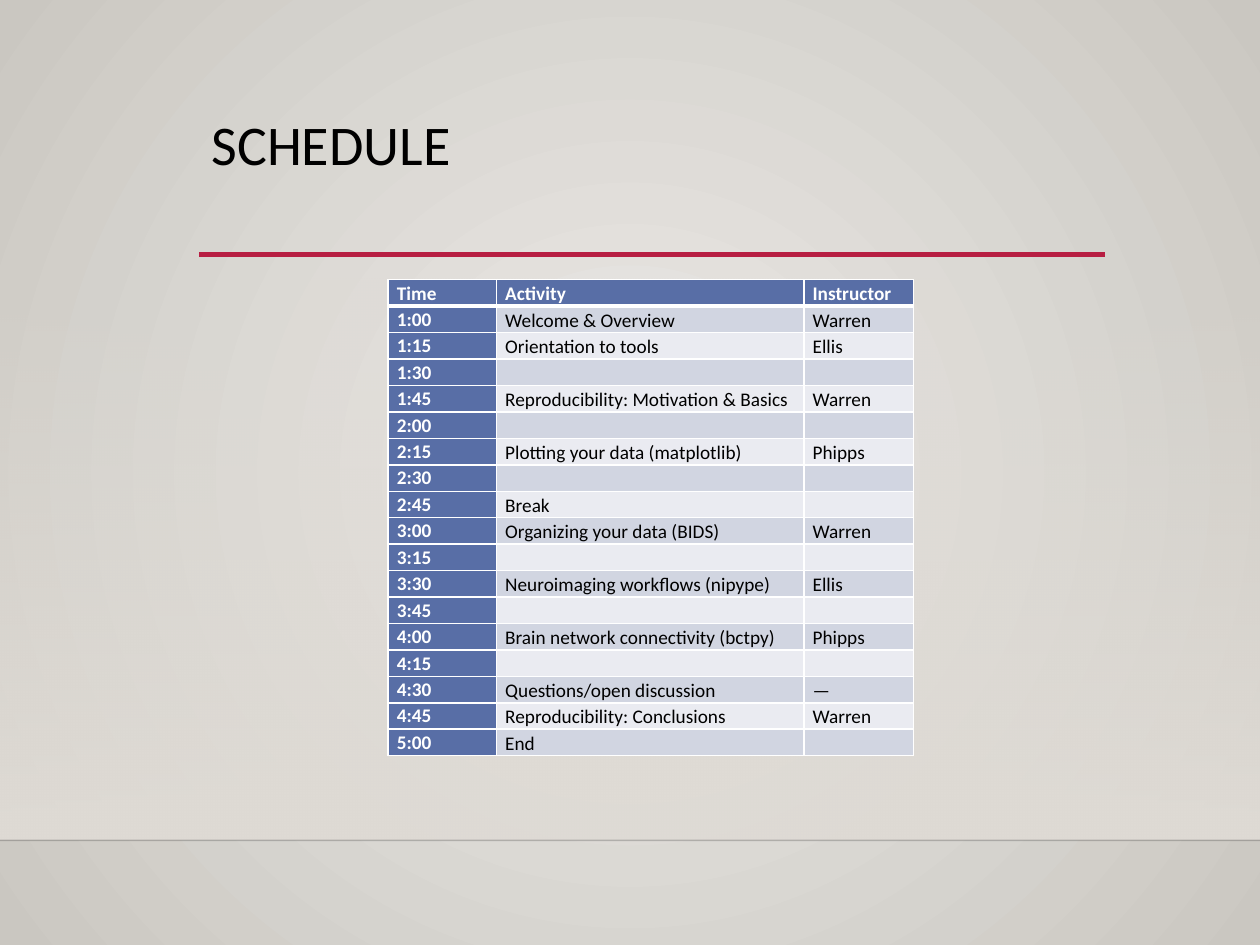
from lxml import etree
from pptx import Presentation
from pptx.dml.color import RGBColor
from pptx.enum import shapes, text
from pptx.oxml import ns
from pptx.util import Inches, Pt

FONT = "Calibri"
BLACK = RGBColor(0x00, 0x00, 0x00)
WHITE = RGBColor(0xFF, 0xFF, 0xFF)
RED = RGBColor(0xB7, 0x1E, 0x42)
BLUE = RGBColor(0x58, 0x6E, 0xA6)
BANDS = [RGBColor(0xD1, 0xD5, 0xE1), RGBColor(0xEA, 0xEB, 0xF1)]
CENTRE_GREY = RGBColor(0xEC, 0xEA, 0xE7)
EDGE_GREY = RGBColor(0xCA, 0xC7, 0xC1)
PANEL_GREY = RGBColor(0xDF, 0xDB, 0xD5)
RULE_BLACK = RGBColor(0x00, 0x00, 0x01)

COLUMN_WIDTHS = [0.86, 2.44, 0.87]
ROW_HEIGHT = 0.21
HEADER = ("Time", "Activity", "Instructor")
# One session for each quarter of an hour, starting at 1:00
SESSIONS = [
    ("Welcome & Overview", "Warren"),
    ("Orientation to tools", "Ellis"),
    ("", ""),
    ("Reproducibility: Motivation & Basics", "Warren"),
    ("", ""),
    ("Plotting your data (matplotlib)", "Phipps"),
    ("", ""),
    ("Break", ""),
    ("Organizing your data (BIDS)", "Warren"),
    ("", ""),
    ("Neuroimaging workflows (nipype)", "Ellis"),
    ("", ""),
    ("Brain network connectivity (bctpy)", "Phipps"),
    ("", ""),
    ("Questions/open discussion", "—"),
    ("Reproducibility: Conclusions", "Warren"),
    ("End", ""),
]


def add_element(parent, tag, **attributes):
    return etree.SubElement(parent, ns.qn(tag), attributes)


def set_opacity(element, percent):
    """Make the first RGB colour inside the element partly transparent."""
    colour = next(element.iter(ns.qn("a:srgbClr")))
    add_element(colour, "a:alpha", val=str(percent * 1000))


def set_gradient(fill, start, end):
    fill.gradient()
    for stop, colour, position in zip(fill.gradient_stops, (start, end), (0, 1)):
        stop.color.rgb = colour
        stop.position = position


def paint_background(page):
    set_gradient(page.background.fill, CENTRE_GREY, EDGE_GREY)
    gradient = next(page._element.iter(ns.qn("a:gradFill")))
    gradient.remove(gradient.find(ns.qn("a:lin")))
    circle = add_element(gradient, "a:path", path="circle")
    add_element(circle, "a:fillToRect", l="50000", t="50000", r="50000", b="50000")


def add_panel(page):
    panel = page.shapes.add_shape(shapes.MSO_SHAPE.RECTANGLE, 0, Inches(2.2),
                                  Inches(10), Inches(4.46))
    panel.shadow.inherit = False
    panel.line.fill.background()
    set_gradient(panel.fill, PANEL_GREY, PANEL_GREY)
    panel.fill.gradient_angle = 270
    set_opacity(panel._element.spPr, 0)


def add_rule(page, left, right, top, colour, width):
    rule = page.shapes.add_connector(shapes.MSO_CONNECTOR.STRAIGHT, Inches(left),
                                     Inches(top), Inches(right), Inches(top))
    rule.line.color.rgb = colour
    rule.line.width = Pt(width)
    add_element(rule._element.spPr, "a:effectLst")
    return rule


def style_paragraph(paragraph, size, colour, spacing, bold=False):
    paragraph.line_spacing = spacing
    for span in paragraph.runs:
        span.font.name = FONT
        span.font.size = Pt(size)
        span.font.bold = bold
        span.font.color.rgb = colour


def add_title(page, words):
    box = page.shapes.add_textbox(Inches(1.58), Inches(0.88), Inches(7.19), Inches(1.15))
    box.text_frame.word_wrap = True
    box.text_frame.text = words
    style_paragraph(box.text_frame.paragraphs[0], 32, BLACK, 0.9)


def set_borders(cell, top, bottom):
    properties = cell._tc.get_or_add_tcPr()
    sides = {"a:lnL": 1, "a:lnR": 1, "a:lnT": top, "a:lnB": bottom}
    for place, (tag, width) in enumerate(sides.items()):
        line = etree.Element(ns.qn(tag), w=str(Pt(width)))
        add_element(add_element(line, "a:solidFill"), "a:srgbClr", val=str(WHITE))
        properties.insert(place, line)


def fill_cell(cell, words, row, column):
    heading = row == 0 or column == 0
    cell.margin_left = cell.margin_right = Inches(0.07)
    cell.margin_top = cell.margin_bottom = 0
    top_aligned = column == 0 and row > 0
    cell.vertical_anchor = text.MSO_ANCHOR.TOP if top_aligned else text.MSO_ANCHOR.BOTTOM
    cell.fill.solid()
    cell.fill.fore_color.rgb = BLUE if heading else BANDS[(row - 1) % 2]
    set_borders(cell, top=3 if row == 1 else 1, bottom=3 if row == 0 else 1)
    paragraph = cell.text_frame.paragraphs[0]
    if words:
        paragraph.text = words
    else:
        # Keeps the empty row as low as the others
        add_element(paragraph._p, "a:endParaRPr", sz="1100")
    style_paragraph(paragraph, 11, WHITE if heading else BLACK, 1.07, heading)


def add_schedule(page):
    rows = [HEADER]
    for quarter, session in enumerate(SESSIONS):
        hour, part = divmod(quarter, 4)
        rows.append((f"{hour + 1}:{part * 15:02d}", *session))
    frame = page.shapes.add_table(len(rows), len(HEADER), Inches(3.08), Inches(2.22),
                                  Inches(sum(COLUMN_WIDTHS)),
                                  Inches(ROW_HEIGHT * len(rows)))
    table = frame.table
    table.horz_banding = False
    for column, width in zip(table.columns, COLUMN_WIDTHS):
        column.width = Inches(width)
    for row, entries in enumerate(rows):
        table.rows[row].height = Inches(ROW_HEIGHT)
        for column, words in enumerate(entries):
            fill_cell(table.cell(row, column), words, row, column)


def main():
    deck = Presentation()
    deck.slide_width, deck.slide_height = Inches(10), Inches(7.5)
    page = deck.slides.add_slide(deck.slide_layouts[6])

    # Backdrop
    paint_background(page)
    add_panel(page)
    floor = add_rule(page, 0, 10, 6.67, RULE_BLACK, 1)
    set_opacity(floor._element.spPr, 20)

    # Title and its rule
    add_rule(page, 1.58, 8.77, 2.02, RED, 2.5)
    add_title(page, "SCHEDULE")

    # Timetable
    add_schedule(page)
    deck.save("out.pptx")


if __name__ == "__main__":
    main()
